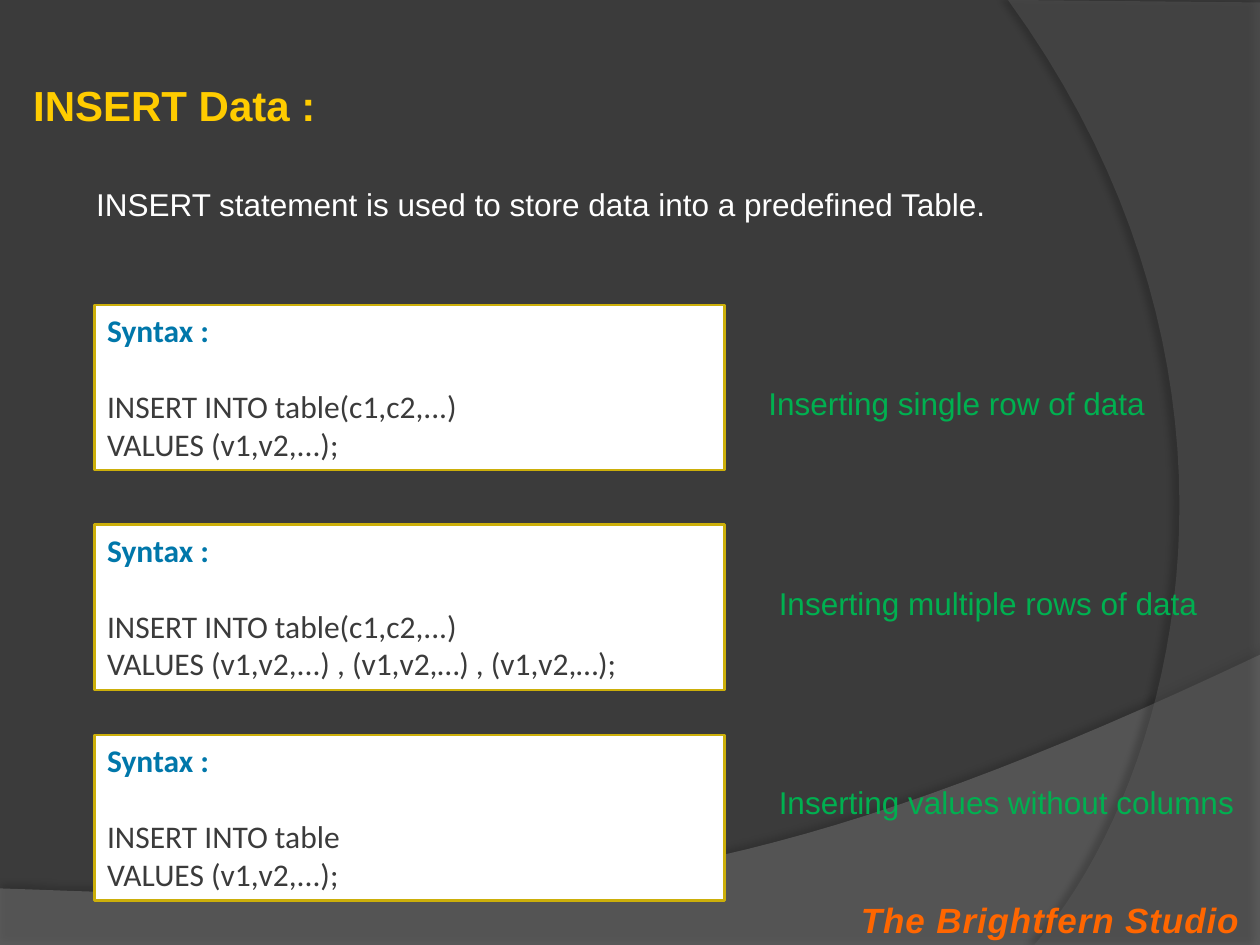
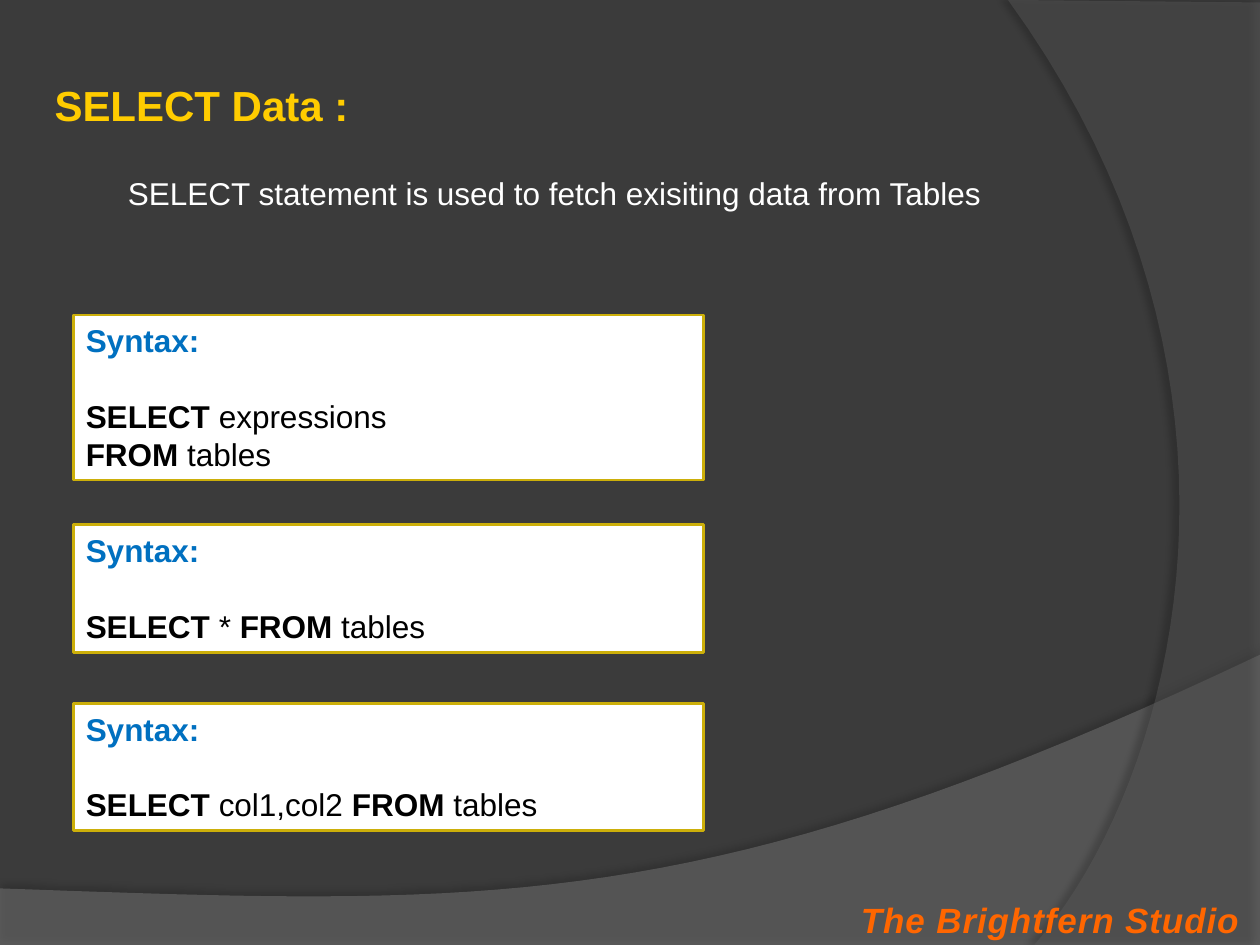
from typing import NamedTuple

from lxml.etree import SubElement
from pptx import Presentation
from pptx.dml.color import RGBColor
from pptx.enum.shapes import MSO_SHAPE as Preset
from pptx.enum.text import MSO_ANCHOR as Anchor, MSO_AUTO_SIZE as AutoSize, PP_ALIGN as Align
from pptx.oxml.ns import qn
from pptx.util import Cm, Pt

CHARCOAL = RGBColor(0x3B, 0x3B, 0x3B)
WAVE_GREY = RGBColor(0x7F, 0x7F, 0x7F)
ARC_GREY = RGBColor(0x5E, 0x5E, 0x5E)
WHITE = RGBColor(0xFF, 0xFF, 0xFF)
BLACK = RGBColor(0x00, 0x00, 0x00)
GOLD = RGBColor(0xFF, 0xCC, 0x00)
DARK_GOLD = RGBColor(0xCC, 0xAF, 0x0A)
ORANGE = RGBColor(0xFF, 0x66, 0x00)
GREEN = RGBColor(0x00, 0xB0, 0x50)
TEAL = RGBColor(0x00, 0x77, 0xAA)
BLUE = RGBColor(0x00, 0x70, 0xC0)

BODY_SIZE = Pt(18)
CODE_LEADING = Pt(21.6)
CURVE_STEPS = 40


class Box(NamedTuple):
    left: float
    top: float
    width: float
    height: float

    def lengths(self):
        return [Cm(value) for value in self]


class CodeStyle(NamedTuple):
    font: str
    heading: str
    heading_color: RGBColor
    code_color: RGBColor


PAGE = Box(0, 0, 25.4, 19.05)
FOOTER = Box(16.93, 17.99, 8.47, 1.06)
INSERT_STYLE = CodeStyle("Calibri", "Syntax :", TEAL, CHARCOAL)
SELECT_STYLE = CodeStyle("Arial", "Syntax:", BLUE, BLACK)


def style_run(run, font, size, color, bold=False, italic=False):
    run.font.name = font
    run.font.size = size
    run.font.bold = bold
    run.font.italic = italic
    run.font.color.rgb = color


def add_label(slide, box, text, color, size=BODY_SIZE, bold=False, italic=False, wrap=False):
    label = slide.shapes.add_textbox(*box.lengths())
    frame = label.text_frame
    frame.word_wrap = wrap
    frame.auto_size = AutoSize.SHAPE_TO_FIT_TEXT
    frame.text = text
    style_run(frame.paragraphs[0].runs[0], "Arial", size, color, bold, italic)
    return label


def curve(start, control_1, control_2, end):
    points = []
    for step in range(1, CURVE_STEPS + 1):
        t = step / CURVE_STEPS
        weights = ((1 - t) ** 3, 3 * t * (1 - t) ** 2, 3 * t**2 * (1 - t), t**3)
        corners = (start, control_1, control_2, end)
        points.append(tuple(sum(w * c[axis] for w, c in zip(weights, corners)) for axis in (0, 1)))
    return points


def add_sweep(slide, box, points, color, opacity, shadow_opacity, blur, distance, angle):
    outline = [(Cm(box.left + x), Cm(box.top + y)) for x, y in points]
    builder = slide.shapes.build_freeform(*outline[0])
    builder.add_line_segments(outline[1:], close=True)
    sweep = builder.convert_to_shape()
    sweep.fill.solid()
    sweep.fill.fore_color.rgb = color
    sweep.line.fill.background()
    sweep.shadow.inherit = False
    properties = sweep.element.spPr
    fill_color = properties.find(qn("a:solidFill")).find(qn("a:srgbClr"))
    SubElement(fill_color, qn("a:alpha"), val=str(opacity * 1000))
    shadow = SubElement(
        properties.find(qn("a:effectLst")), qn("a:outerShdw"),
        blurRad=str(Pt(blur)), dist=str(Pt(distance)), dir=str(angle * 60000),
        algn="ctr", rotWithShape="0",
    )
    shadow_color = SubElement(shadow, qn("a:srgbClr"), val=str(BLACK))
    SubElement(shadow_color, qn("a:alpha"), val=str(shadow_opacity * 1000))
    return sweep


def build_backdrop(layout, slide, box):
    layout.background.fill.solid()
    layout.background.fill.fore_color.rgb = CHARCOAL
    for placeholder in list(layout.placeholders):
        layout.element.cSld.spTree.remove(placeholder.element)

    right, bottom = box.width, box.height
    wave_left, wave_right = (0, 17.91), (right, 13.2)
    wave = [wave_left, (0, bottom), (right, bottom), wave_right]
    wave += curve(wave_right, (14.2, 18.52), (9.93, 18.26), wave_left)[:-1]

    arc_bottom, arc_top = (20.85, bottom), (20.32, 0)
    arc = [(right, 0.05), (right, bottom), arc_bottom]
    arc += curve(arc_bottom, (23.75, 15.72), (25.86, 7.62), arc_top)

    sweeps = (
        add_sweep(slide, box, wave, WAVE_GREY, 45, 35, 4, 3.5, 270),
        add_sweep(slide, box, arc, ARC_GREY, 40, 45, 4, 4, 180),
    )
    for sweep in sweeps:
        layout.element.cSld.spTree.append(sweep.element)


def add_footer(slide, box):
    footer = add_label(slide, box, "The Brightfern Studio", ORANGE, Pt(20), bold=True, italic=True)
    footer.text_frame.paragraphs[0].alignment = Align.CENTER
    for run_properties in footer.element.iter(qn("a:rPr")):
        run_properties.set("spc", "50")


def add_title(slide, box, text):
    add_label(slide, box, text, GOLD, Pt(24), bold=True)


def add_syntax_box(slide, box, style, code_lines):
    panel = slide.shapes.add_shape(Preset.RECTANGLE, *box.lengths())
    panel.shadow.inherit = False
    panel.fill.solid()
    panel.fill.fore_color.rgb = WHITE
    panel.line.color.rgb = DARK_GOLD
    panel.line.width = Pt(1.5)

    frame = panel.text_frame
    frame.word_wrap = True
    frame.auto_size = AutoSize.SHAPE_TO_FIT_TEXT
    frame.vertical_anchor = Anchor.TOP
    frame.text = style.heading
    heading = frame.paragraphs[0]
    heading.space_after = CODE_LEADING
    style_run(heading.runs[0], style.font, BODY_SIZE, style.heading_color, bold=True)

    for line in code_lines:
        paragraph = frame.add_paragraph()
        for position, part in enumerate(line.split("**")):
            if part:
                run = paragraph.add_run()
                run.text = part
                style_run(run, style.font, BODY_SIZE, style.code_color, bold=position % 2 == 1)
    for paragraph in frame.paragraphs:
        paragraph.alignment = Align.LEFT
        paragraph.line_spacing = CODE_LEADING


def build_insert_slide(slide, box):
    left, top = box.left, box.top
    add_footer(slide, FOOTER)
    add_title(slide, Box(left + 0.42, top + 1.48, 6.27, 1.27), "INSERT Data :")
    add_label(
        slide, Box(left + 1.69, top + 3.6, 18.62, 1.02),
        "INSERT statement is used to store data into a predefined Table.", WHITE,
    )
    columns = "INSERT INTO table(c1,c2,...)"
    single_row = "VALUES (v1,v2,...);"
    statements = (
        (6.15, (columns, single_row)),
        (10.58, (columns, "VALUES (v1,v2,...) , (v1,v2,…) , (v1,v2,…);")),
        (14.82, ("INSERT INTO table", single_row)),
    )
    for offset, code_lines in statements:
        add_syntax_box(slide, Box(left + 1.91, top + offset, 12.7, 3.33), INSERT_STYLE, code_lines)

    captions = (
        (15.24, 8.18, "Inserting single row of data"),
        (15.45, 9.02, "Inserting multiple rows of data"),
        (15.45, 9.78, "Inserting values without columns"),
    )
    for row, (offset, width, text) in enumerate(captions):
        add_label(slide, Box(left + offset, top + 7.62 + row * 4.02, width, 1.02), text, GREEN)


def build_select_slide(slide, box):
    left, top = box.left, box.top
    add_footer(slide, FOOTER)
    add_title(slide, Box(left + 0.85, top + 1.48, 6.5, 1.27), "SELECT Data :")
    add_label(
        slide, Box(left + 2.33, top + 3.39, 18.21, 1.02),
        "SELECT statement is used to fetch exisiting data from Tables", WHITE, wrap=True,
    )
    queries = (
        (6.35, 3.33, ("**SELECT** expressions", "**FROM** tables")),
        (10.58, 2.57, ("**SELECT** * **FROM** tables",)),
        (14.18, 2.57, ("**SELECT** col1,col2 **FROM** tables",)),
    )
    for offset, height, code_lines in queries:
        add_syntax_box(slide, Box(left + 1.48, top + offset, 12.7, height), SELECT_STYLE, code_lines)


def main():
    deck = Presentation()
    deck.slide_width, deck.slide_height = Cm(PAGE.width), Cm(PAGE.height)
    blank = deck.slide_layouts[6]
    insert_slide, select_slide = (deck.slides.add_slide(blank) for _ in range(2))
    build_backdrop(blank, insert_slide, PAGE)
    build_insert_slide(insert_slide, PAGE)
    build_select_slide(select_slide, PAGE)
    deck.save("out.pptx")


if __name__ == "__main__":
    main()
